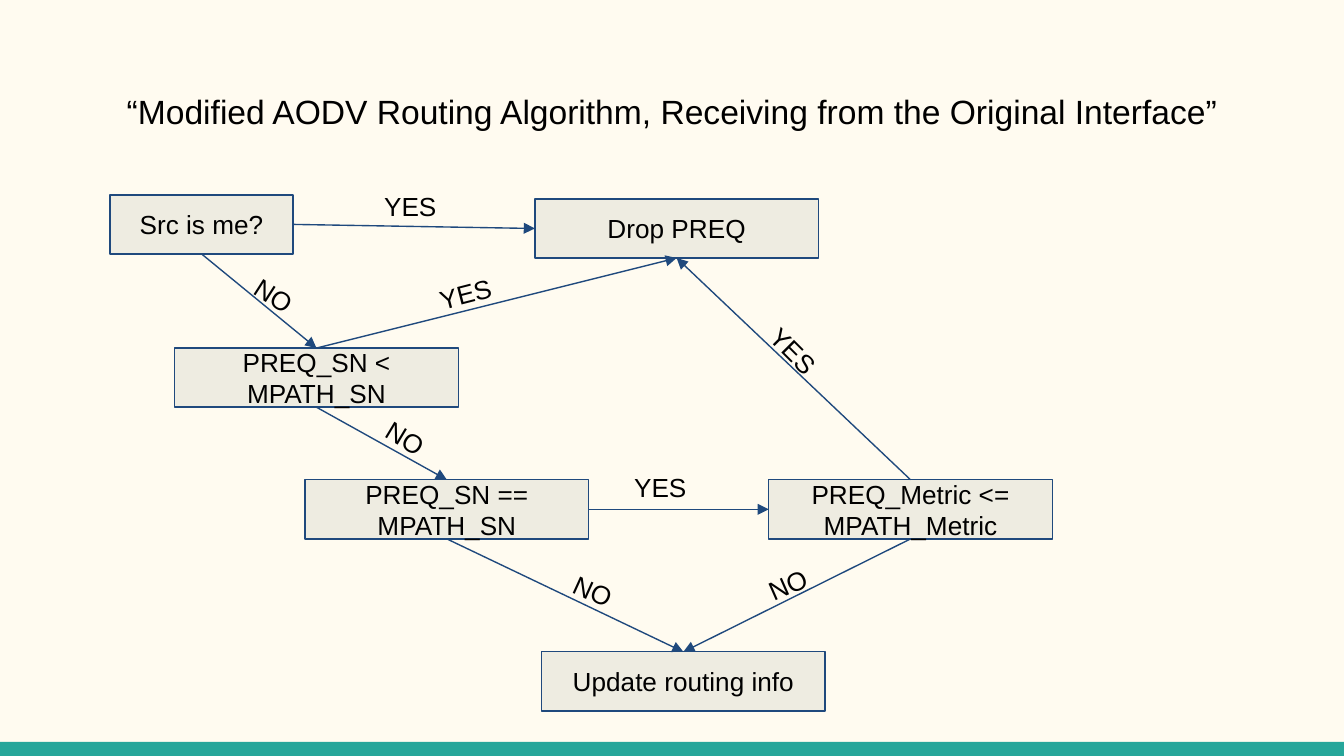
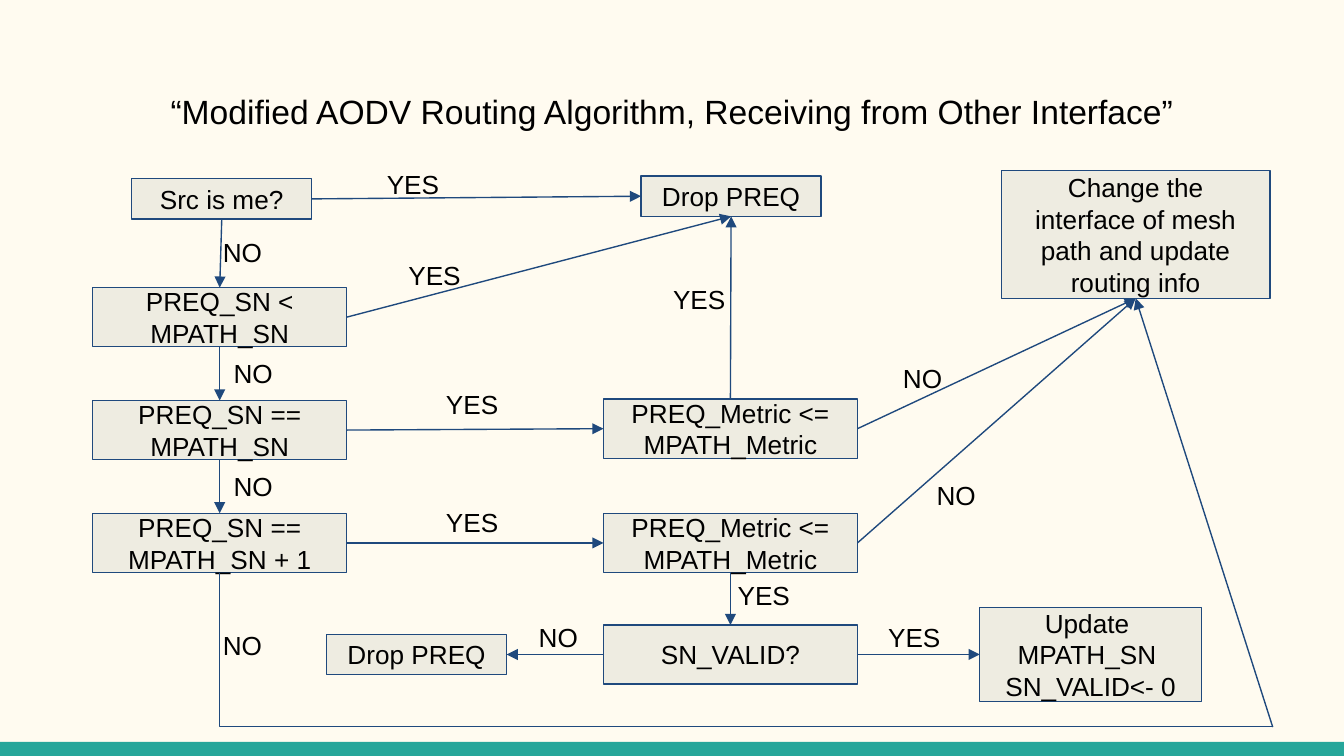
"""Build two flowchart slides on a modified AODV routing algorithm."""
from lxml import etree
from pptx import Presentation
from pptx.dml.color import RGBColor
from pptx.enum.shapes import MSO_CONNECTOR, MSO_SHAPE
from pptx.enum.text import MSO_ANCHOR, MSO_AUTO_SIZE, PP_ALIGN
from pptx.oxml.ns import qn
from pptx.util import Pt

PX = 9144
SLIDE_WIDTH = 1000 * PX
SLIDE_HEIGHT = SLIDE_WIDTH * 9 // 16
FONT = "Arial"
COLORS = {
    "paper": "FFFBF0",
    "band": "26A69A",
    "box": "EEECE1",
    "line": "1F497D",
    "text": "000000",
}
STRAIGHT, ELBOW = MSO_CONNECTOR.STRAIGHT, MSO_CONNECTOR.ELBOW
RECTANGLE = MSO_SHAPE.RECTANGLE
MIDDLE, ANCHOR_TOP = MSO_ANCHOR.MIDDLE, MSO_ANCHOR.TOP
CENTER, ALIGN_LEFT = PP_ALIGN.CENTER, PP_ALIGN.LEFT
NO_FIT, GROW = MSO_AUTO_SIZE.NONE, MSO_AUTO_SIZE.SHAPE_TO_FIT_TEXT
TOP, LEFT, BOTTOM, RIGHT = range(4)
LABEL_SIZE = (64, 44)

FLOWCHARTS = [
    {
        "title": "“Modified AODV Routing Algorithm, Receiving from the Original Interface”",
        "steps": {
            "older": (130, 259, 211, 44, "PREQ_SN < MPATH_SN"),
            "equal": (227, 357, 211, 44, "PREQ_SN == MPATH_SN"),
            "drop": (398, 148, 211, 44, "Drop PREQ"),
            "source": (82, 145, 136, 44, "Src is me?"),
            "metric": (572, 357, 211, 44, "PREQ_Metric <= MPATH_Metric"),
            "update": (403, 485, 211, 44, "Update routing info"),
        },
        "links": [
            ("source", RIGHT, "drop", LEFT),
            ("source", BOTTOM, "older", TOP),
            ("older", BOTTOM, "equal", TOP),
            ("equal", RIGHT, "metric", LEFT),
            ("older", TOP, "drop", BOTTOM),
            ("metric", TOP, "drop", BOTTOM),
            ("equal", BOTTOM, "update", TOP),
            ("metric", BOTTOM, "update", TOP),
        ],
        "answers": {
            "YES": [(317, 196, 345.5), (276, 132, 0), (462, 341, 0), (560, 241, 45)],
            "NO": [(276, 308, 31.1), (178, 202, 32.7), (416, 421, 24.5), (561, 410, 336.2)],
        },
    },
    {
        "title": "“Modified AODV Routing Algorithm, Receiving from Other Interface”",
        "steps": {
            "source": (98, 133, 134, 30, "Src is me?"),
            "drop": (477, 131, 134, 30, "Drop PREQ"),
            "older": (69, 214, 189, 44, "PREQ_SN < MPATH_SN"),
            "equal": (69, 298, 189, 44, "PREQ_SN == MPATH_SN"),
            "next": (69, 382, 189, 44, "PREQ_SN == MPATH_SN + 1"),
            "equal metric": (449, 297, 189, 44, "PREQ_Metric <= MPATH_Metric"),
            "next metric": (449, 382, 189, 44, "PREQ_Metric <= MPATH_Metric"),
            "change": (745, 127, 200, 95,
                       "Change the interface of mesh path and update routing info"),
            "valid": (449, 465, 189, 44, "SN_VALID?"),
            "drop invalid": (243, 472, 134, 30, "Drop PREQ"),
            "update": (729, 452, 165, 70, "Update \nMPATH_SN \nSN_VALID<- 0"),
        },
        "links": [
            ("source", BOTTOM, "older", TOP),
            ("older", BOTTOM, "equal", TOP),
            ("source", RIGHT, "drop", LEFT),
            ("older", RIGHT, "drop", BOTTOM),
            ("equal", BOTTOM, "next", TOP),
            ("equal metric", RIGHT, "change", BOTTOM),
            ("equal metric", TOP, "drop", BOTTOM),
            ("next metric", RIGHT, "change", BOTTOM),
            ("equal", RIGHT, "equal metric", LEFT),
            ("next metric", BOTTOM, "valid", TOP),
            ("next", RIGHT, "next metric", LEFT),
            ("valid", LEFT, "drop invalid", RIGHT),
            ("valid", RIGHT, "update", LEFT),
        ],
        "answers": {
            "YES": [(278, 115, 0), (294, 183, 0), (491, 201, 0), (322, 279, 0),
                    (322, 367, 0), (651, 452, 0), (539, 421, 0)],
            "NO": [(164, 340, 0), (164, 256, 0), (156, 166, 0), (687, 347, 0),
                   (662, 260, 0), (156, 458, 0), (391, 452, 0)],
        },
    },
]


def write(shape, text, size, inset, anchor, align, fit):
    """Fill a shape with uniformly formatted text."""
    frame = shape.text_frame
    frame.text = text
    frame.word_wrap = True
    frame.auto_size = fit
    frame.vertical_anchor = anchor
    frame.margin_left = frame.margin_right = inset * PX
    frame.margin_top = frame.margin_bottom = inset * PX
    for paragraph in frame.paragraphs:
        paragraph.alignment = align
        for run in paragraph.runs:
            run.font.name = FONT
            run.font.size = Pt(size)
            run.font.color.rgb = RGBColor.from_string(COLORS["text"])


def draw_line(slide, kind, points, arrow):
    """Draw a flat connector, with an arrowhead at its end if asked."""
    line = slide.shapes.add_connector(kind, *[value * PX for value in points])
    line.line.color.rgb = RGBColor.from_string(COLORS["line"])
    line.line.width = Pt(0.75)
    properties = line._element.spPr
    if arrow:
        etree.SubElement(properties.find(qn("a:ln")), qn("a:tailEnd"), type="triangle")
    etree.SubElement(properties, qn("a:effectLst"))
    return line


prs = Presentation()
prs.slide_width, prs.slide_height = SLIDE_WIDTH, SLIDE_HEIGHT
master = prs.slide_master
master.background.fill.solid()
master.background.fill.fore_color.rgb = RGBColor.from_string(COLORS["paper"])

slides = []
for chart in FLOWCHARTS:
    slide = prs.slides.add_slide(prs.slide_layouts[5])
    slides.append(slide)
    title = slide.shapes.title
    title.left, title.top, title.width, title.height = [v * PX for v in (34, 49, 932, 67)]
    write(title, chart["title"], 18, 0, MIDDLE, CENTER, NO_FIT)

    steps = {}
    for key, (*bounds, text) in chart["steps"].items():
        step = slide.shapes.add_shape(RECTANGLE, *[value * PX for value in bounds])
        step.shadow.inherit = False
        step.fill.solid()
        step.fill.fore_color.rgb = RGBColor.from_string(COLORS["box"])
        step.line.color.rgb = RGBColor.from_string(COLORS["line"])
        step.line.width = Pt(0.75)
        write(step, text, 14, 10, MIDDLE, CENTER, NO_FIT)
        steps[key] = step

    for origin, exit_side, target, entry_side in chart["links"]:
        link = draw_line(slide, STRAIGHT, (0, 0, 0, 0), True)
        link.begin_connect(steps[origin], exit_side)
        link.end_connect(steps[target], entry_side)

    for answer, places in chart["answers"].items():
        for left, top, angle in places:
            label = slide.shapes.add_textbox(
                *[value * PX for value in (left, top, *LABEL_SIZE)])
            label.rotation = angle
            write(label, answer, 14, 10, ANCHOR_TOP, ALIGN_LEFT, GROW)

detour = draw_line(slides[1], ELBOW, (612, 92, 498, 875), False)
detour._element.spPr.find(qn("a:xfrm")).set("rot", "16200000")
detour._element.spPr.find(qn("a:prstGeom")).set("prst", "bentConnector2")
detour_end = draw_line(slides[1], STRAIGHT, (947, 541, 845, 222), True)
detour_end.end_connect(steps["change"], BOTTOM)

band = slides[0].shapes.add_shape(RECTANGLE, 0, 552 * PX, SLIDE_WIDTH, SLIDE_HEIGHT - 552 * PX)
band.shadow.inherit = False
band.fill.solid()
band.fill.fore_color.rgb = RGBColor.from_string(COLORS["band"])
band.line.fill.background()
master.shapes._spTree.insert(2, band._element)

prs.save("out.pptx")
